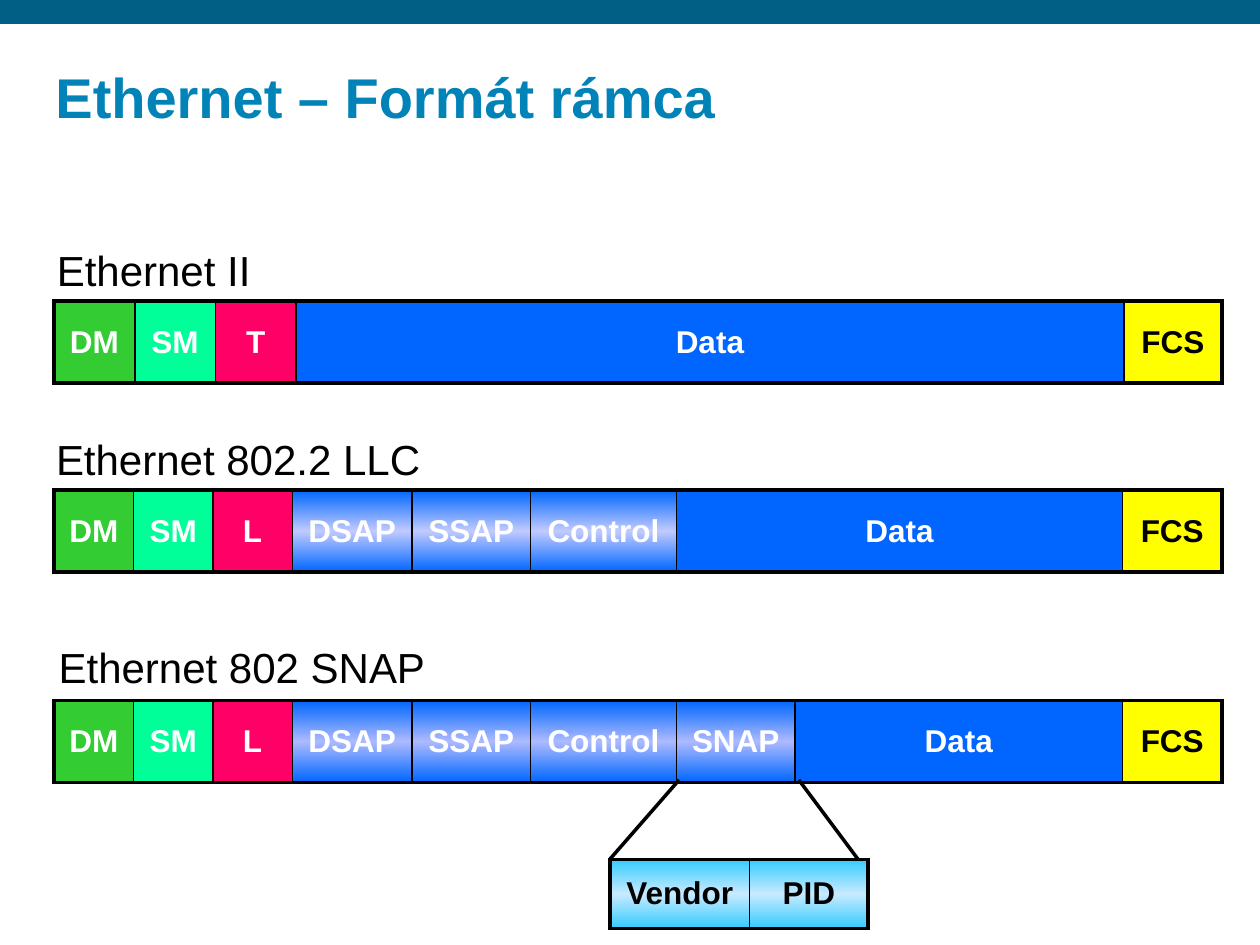
from lxml.etree import SubElement
from pptx import Presentation
from pptx.dml.color import RGBColor
from pptx.enum.shapes import MSO_CONNECTOR, MSO_SHAPE
from pptx.enum.text import MSO_ANCHOR, MSO_AUTO_SIZE, PP_ALIGN
from pptx.oxml.ns import qn
from pptx.util import Inches, Pt

BLACK = RGBColor(0x00, 0x00, 0x00)
WHITE = RGBColor(0xFF, 0xFF, 0xFF)
BAND = RGBColor(0x01, 0x5F, 0x85)
TITLE = RGBColor(0x01, 0x83, 0xB7)
GREEN = RGBColor(0x33, 0xCC, 0x33)
MINT = RGBColor(0x00, 0xFF, 0x99)
PINK = RGBColor(0xFF, 0x00, 0x66)
BLUE = RGBColor(0x00, 0x66, 0xFF)
YELLOW = RGBColor(0xFF, 0xFF, 0x00)
CYAN = RGBColor(0x33, 0xCC, 0xFF)
LLC_GLOW = RGBColor(0xC1, 0xCA, 0xFF)
SNAP_GLOW = RGBColor(0xAD, 0xBA, 0xFF)
CYAN_GLOW = RGBColor(0xC8, 0xEA, 0xFF)

FONT = "Arial"
FRAME_LEFT, FRAME_WIDTH, FRAME_HEIGHT = 0.43, 9.27, 0.65
THICK, THIN = 2.25, 1

# Field name: fill, text colour
STYLES = {
    "DM": (GREEN, WHITE), "SM": (MINT, WHITE), "T": (PINK, WHITE), "L": (PINK, WHITE),
    "DSAP": (BLUE, WHITE), "SSAP": (BLUE, WHITE), "Control": (BLUE, WHITE),
    "SNAP": (BLUE, WHITE), "Data": (BLUE, WHITE), "FCS": (YELLOW, BLACK),
    "Vendor": (CYAN, BLACK), "PID": (CYAN, BLACK),
}
GLOWING = {"DSAP", "SSAP", "Control", "SNAP", "Vendor", "PID"}

# Label, its (left, top, width), frame top, gradient centre, fields; Data takes the rest
LLC_FIELDS = [("DM", 0.63), ("SM", 0.63), ("L", 0.63),
              ("DSAP", 0.95), ("SSAP", 0.94), ("Control", 1.16)]
FRAMES = [
    ("Ethernet II", (0.35, 1.94, 1.74), 2.39, None,
     [("DM", 0.64), ("SM", 0.64), ("T", 0.64), ("Data", None), ("FCS", 0.78)]),
    ("Ethernet 802.2 LLC", (0.33, 3.44, 3.12), 3.89, LLC_GLOW,
     LLC_FIELDS + [("Data", None), ("FCS", 0.79)]),
    ("Ethernet 802 SNAP", (0.35, 5.09, 3.14), 5.56, SNAP_GLOW,
     LLC_FIELDS + [("SNAP", 0.94), ("Data", None), ("FCS", 0.79)]),
]
SNAP_DETAIL = [("Vendor", 1.11), ("PID", 0.94)]
CALLOUT_LINES = [((5.39, 6.19), (4.84, 6.82)), ((6.34, 6.19), (6.81, 6.82))]


def add_text(para, text, size, color, bold=False):
    span = para.add_run()
    span.text = text
    span.font.name = FONT
    span.font.size = Pt(size)
    span.font.bold = bold
    span.font.color.rgb = color


def set_border(cell, side, width):
    line = SubElement(cell._tc.get_or_add_tcPr(), qn(f"a:ln{side}"), w=str(Pt(width)))
    fill = SubElement(line, qn("a:solidFill"))
    SubElement(fill, qn("a:srgbClr"), val=str(BLACK))


def set_glow(cell, edge, center):
    """Fill the cell with a vertical gradient, edge to center to edge."""
    gradient = SubElement(cell._tc.get_or_add_tcPr(), qn("a:gradFill"), rotWithShape="1")
    stops = SubElement(gradient, qn("a:gsLst"))
    for position, color in ((0, edge), (50000, center), (100000, edge)):
        stop = SubElement(stops, qn("a:gs"), pos=str(position))
        SubElement(stop, qn("a:srgbClr"), val=str(color))
    SubElement(gradient, qn("a:lin"), ang="5400000", scaled="1")


def add_frame(page, left, top, width, height, fields, glow):
    table = page.shapes.add_table(1, len(fields), Inches(left), Inches(top),
                                  Inches(width), Inches(height)).table
    table.first_row = table.horz_banding = False
    rest = width - sum(size for _, size in fields if size)
    last = len(fields) - 1
    for index, (name, size) in enumerate(fields):
        table.columns[index].width = Inches(size or rest)
        cell = table.cell(0, index)
        cell.vertical_anchor = MSO_ANCHOR.MIDDLE
        cell.margin_left = cell.margin_right = Inches(0.05)
        set_border(cell, "L", THICK if index == 0 else THIN)
        set_border(cell, "R", THICK if index == last else THIN)
        set_border(cell, "T", THICK)
        set_border(cell, "B", THICK)
        fill, text_color = STYLES[name]
        if name in GLOWING:
            set_glow(cell, fill, glow)
        else:
            cell.fill.solid()
            cell.fill.fore_color.rgb = fill
        para = cell.text_frame.paragraphs[0]
        para.alignment = PP_ALIGN.CENTER
        add_text(para, name, 18, text_color, bold=True)


def add_label(page, text, left, top, width):
    box = page.shapes.add_textbox(Inches(left), Inches(top), Inches(width), Inches(0.5))
    box.text_frame.word_wrap = False
    box.text_frame.auto_size = MSO_AUTO_SIZE.SHAPE_TO_FIT_TEXT
    para = box.text_frame.paragraphs[0]
    para.alignment = PP_ALIGN.CENTER
    para.line_spacing = 0.9
    add_text(para, text, 24, BLACK)


def add_line(page, start, end):
    line = page.shapes.add_connector(MSO_CONNECTOR.STRAIGHT,
                                     *(Inches(value) for value in start + end))
    line.line.color.rgb = BLACK
    line.line.width = Pt(2)
    SubElement(line._element.spPr, qn("a:effectLst"))


def add_title(page, text):
    title = page.shapes.title
    title.left, title.top = Inches(0.35), Inches(0.33)
    title.width, title.height = Inches(9.29), Inches(0.75)
    frame = title.text_frame
    frame.auto_size = MSO_AUTO_SIZE.NONE
    frame.vertical_anchor = MSO_ANCHOR.BOTTOM
    frame.margin_left = frame.margin_right = Inches(0.09)
    frame.margin_top = frame.margin_bottom = Inches(0.04)
    para = frame.paragraphs[0]
    para.alignment = PP_ALIGN.LEFT
    para.line_spacing = 0.9
    add_text(para, text, 32, TITLE, bold=True)


def main():
    deck = Presentation()
    deck.slide_width, deck.slide_height = Inches(10), Inches(7.5)
    page = deck.slides.add_slide(deck.slide_layouts[5])

    band = page.shapes.add_shape(MSO_SHAPE.RECTANGLE, 0, 0, deck.slide_width, Inches(0.19))
    band.shadow.inherit = False
    band.fill.solid()
    band.fill.fore_color.rgb = BAND
    band.line.fill.background()

    add_title(page, "Ethernet – Formát rámca")
    for label, label_place, top, glow, fields in FRAMES:
        add_frame(page, FRAME_LEFT, top, FRAME_WIDTH, FRAME_HEIGHT, fields, glow)
        add_label(page, label, *label_place)
    add_frame(page, 4.84, 6.82, 2.05, 0.55, SNAP_DETAIL, CYAN_GLOW)
    for start, end in CALLOUT_LINES:
        add_line(page, start, end)

    deck.save("out.pptx")


if __name__ == "__main__":
    main()
